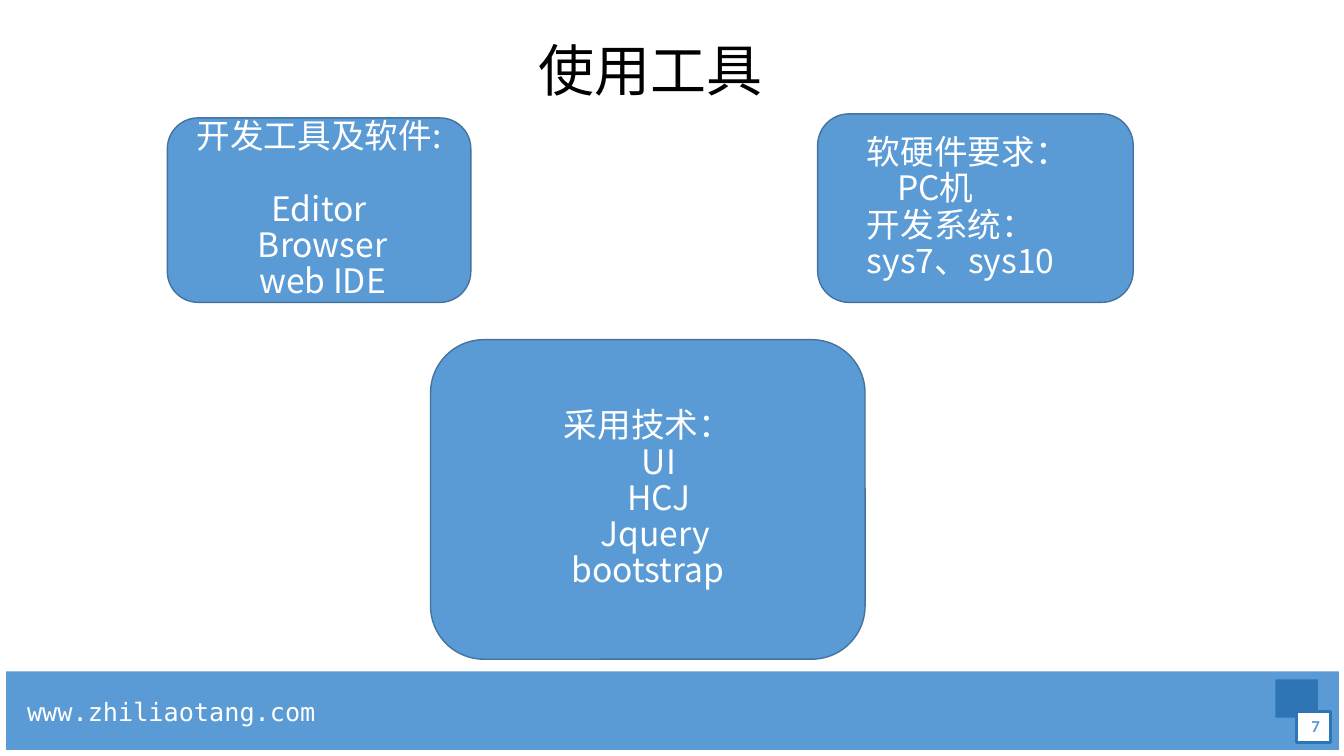
from lxml import etree
from pptx import Presentation
from pptx import util as u
from pptx.dml import color
from pptx.enum import shapes, text
from pptx.oxml import ns

CJK = "Noto Sans CJK SC"
BLUE, DARK, EDGE, WHITE = "5B9BD5", "2E75B6", "43739E", "FFFFFF"


def paint(target, hex_code):
    if hasattr(target, "solid"):
        target.solid()
        target = target.fore_color
    target.rgb = color.RGBColor.from_string(hex_code)


def write(frame, content, size=24, font=CJK, ink=WHITE, bold=False,
          align="LEFT", indent=0, after=0, spacing=0.9, first=True):
    paragraph = frame.paragraphs[0] if first else frame.add_paragraph()
    paragraph.alignment = getattr(text.PP_ALIGN, align)
    paragraph.line_spacing = spacing
    paragraph.space_before = u.Pt(0)
    paragraph.space_after = u.Pt(after)
    paragraph._p.get_or_add_pPr().set("marL", str(u.Inches(indent)))
    run = paragraph.add_run()
    run.text = content
    run.font.size, run.font.bold, run.font.name = u.Pt(size), bold, font
    paint(run.font.color, ink)
    east_asian = etree.SubElement(run._r.get_or_add_rPr(), ns.qn("a:ea"))
    east_asian.set("typeface", font)


deck = Presentation()
deck.slide_width, deck.slide_height = u.Inches(13.33), u.Inches(7.5)
slide = deck.slides.add_slide(deck.slide_layouts[5])

heading = slide.shapes.title
heading.left, heading.top = u.Inches(5.24), u.Inches(0)
heading.width, heading.height = u.Inches(2.88), u.Inches(1.45)
heading.text_frame.vertical_anchor = text.MSO_ANCHOR.MIDDLE
write(heading.text_frame, "使用工具", size=40, ink="000000")

development = [
    ("开发工具及软件:", dict(align="CENTER", after=26)),
    ("Editor", dict(align="CENTER")),
    ("Browser", dict(align="CENTER", indent=0.07)),
    ("web IDE", dict(align="CENTER", indent=0.07)),
]
requirements = [
    ("软硬件要求：", dict(indent=0.3)),
    ("PC机", dict(indent=0.6)),
    ("开发系统：", dict(indent=0.3)),
    ("sys7、sys10", dict(indent=0.3)),
]
technologies = [
    ("采用技术：", dict(align="CENTER")),
    ("UI", dict(align="CENTER", indent=0.22)),
    ("HCJ", dict(align="CENTER", indent=0.22)),
    ("Jquery", dict(align="CENTER", indent=0.15)),
    ("bootstrap", dict(align="CENTER")),
]

panels = [
    ("RECTANGLE", (0.06, 6.66, 13.22, 0.78), BLUE, None, 0, []),
    ("RECTANGLE", (12.65, 6.74, 0.42, 0.38), DARK, None, 0, []),
    ("RECTANGLE", (12.86, 7.06, 0.34, 0.31), WHITE, DARK, 2, []),
    ("ROUNDED_RECTANGLE", (1.66, 1.17, 3.01, 1.83), BLUE, EDGE, 1, development),
    ("ROUNDED_RECTANGLE", (8.11, 1.13, 3.13, 1.87), BLUE, EDGE, 1, requirements),
    ("ROUNDED_RECTANGLE", (4.27, 3.37, 4.31, 3.17), BLUE, EDGE, 1, technologies),
]
for outline, place, fill, edge, weight, lines in panels:
    panel = slide.shapes.add_shape(
        getattr(shapes.MSO_SHAPE, outline), *map(u.Inches, place))
    panel.shadow.inherit = False
    paint(panel.fill, fill)
    if edge:
        paint(panel.line.fill, edge)
        panel.line.width = u.Pt(weight)
    else:
        panel.line.fill.background()
    panel.text_frame.vertical_anchor = text.MSO_ANCHOR.MIDDLE
    for position, (content, style) in enumerate(lines):
        write(panel.text_frame, content, first=position == 0, **style)

footers = [
    ("www.zhiliaotang.com", (0.17, 6.85, 4.32, 0.42),
     dict(size=18, font="DejaVu Sans Mono", spacing=1)),
    ("7", (10.19, 7, 3, 0.4),
     dict(size=12, font="Calibri", ink=BLUE, bold=True, align="RIGHT", spacing=1)),
]
for content, place, style in footers:
    footer = slide.shapes.add_textbox(*map(u.Inches, place)).text_frame
    footer.word_wrap = True
    footer.vertical_anchor = text.MSO_ANCHOR.MIDDLE
    write(footer, content, **style)

deck.save("out.pptx")
